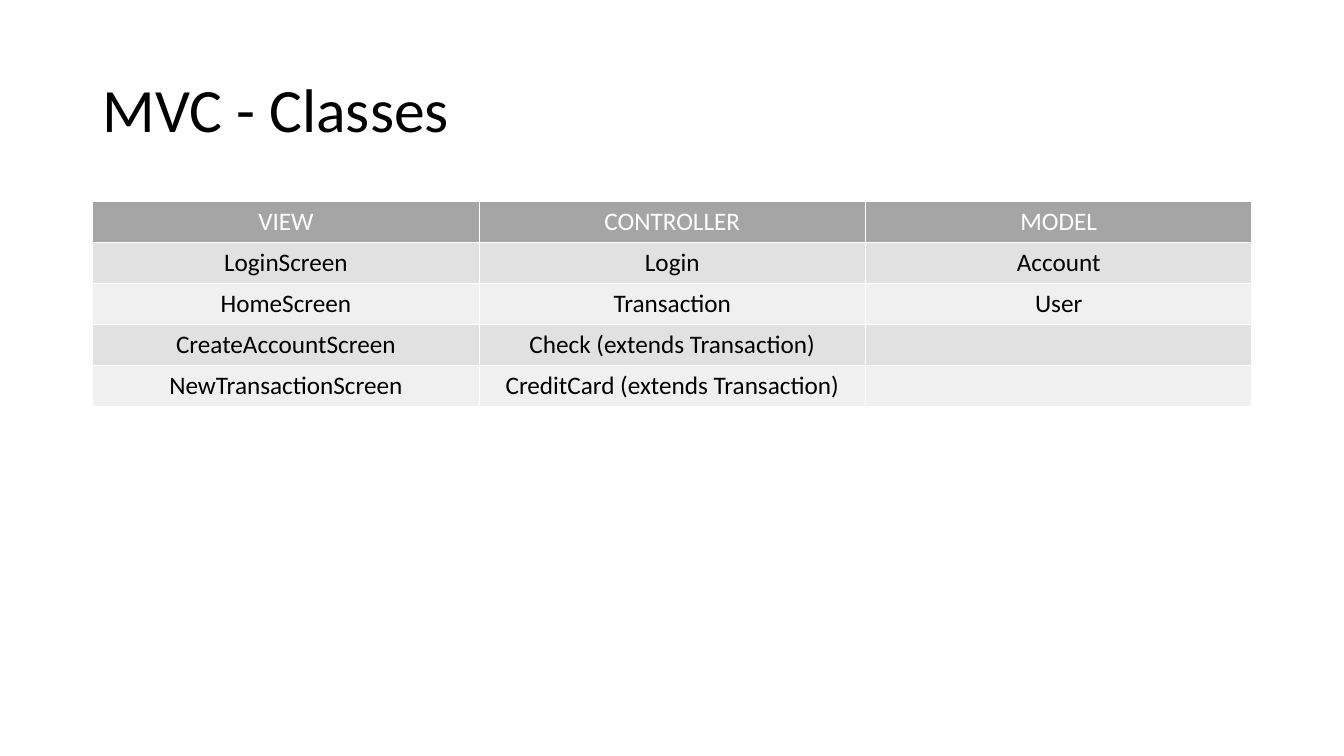
from pptx import Presentation
from pptx.dml.color import RGBColor
from pptx.enum.text import MSO_ANCHOR, PP_ALIGN
from pptx.util import Inches, Pt

LEFT, CENTER = PP_ALIGN.LEFT, PP_ALIGN.CENTER
MIDDLE = MSO_ANCHOR.MIDDLE
BLACK = RGBColor(0x00, 0x00, 0x00)
WHITE = RGBColor(0xFF, 0xFF, 0xFF)
HEAD = RGBColor(0xA5, 0xA5, 0xA5)
BANDS = [RGBColor(0xF0, 0xF0, 0xF0), RGBColor(0xE1, 0xE1, 0xE1)]
FONT = "Calibri"
ROWS = [
    ["VIEW", "CONTROLLER", "MODEL"],
    ["LoginScreen", "Login", "Account"],
    ["HomeScreen", "Transaction", "User"],
    ["CreateAccountScreen", "Check (extends Transaction)", ""],
    ["NewTransactionScreen", "CreditCard (extends Transaction)", ""],
]


def style(para, size, color, align):
    para.alignment = align
    font = para.font
    font.name = FONT
    font.size = Pt(size)
    font.bold = False
    font.color.rgb = color


def add_title(slide, text, box):
    title = slide.shapes.title
    title.left, title.top, title.width, title.height = box
    frame = title.text_frame
    frame.text = text
    frame.vertical_anchor = MIDDLE
    para = frame.paragraphs[0]
    para.line_spacing = 0.9
    style(para, 44, BLACK, LEFT)


def add_grid(slide, rows, box):
    table = slide.shapes.add_table(len(rows), len(rows[0]), *box).table
    for r, row in enumerate(rows):
        for c, text in enumerate(row):
            cell = table.cell(r, c)
            cell.text = text
            cell.fill.solid()
            cell.fill.fore_color.rgb = BANDS[r % 2] if r else HEAD
            style(cell.text_frame.paragraphs[0], 18, BLACK if r else WHITE, CENTER)


def main():
    deck = Presentation()
    deck.slide_width, deck.slide_height = Inches(13.33), Inches(7.5)
    wide, high = deck.slide_width, deck.slide_height
    slide = deck.slides.add_slide(deck.slide_layouts[5])
    left, width = int(wide * 0.069), int(wide * 0.8625)
    add_title(slide, "MVC - Classes", (left, int(high * 0.053), width, int(high * 0.193)))
    add_grid(slide, ROWS, (left, int(high * 0.267), width, int(high * 0.27)))
    deck.save("out.pptx")


if __name__ == "__main__":
    main()
